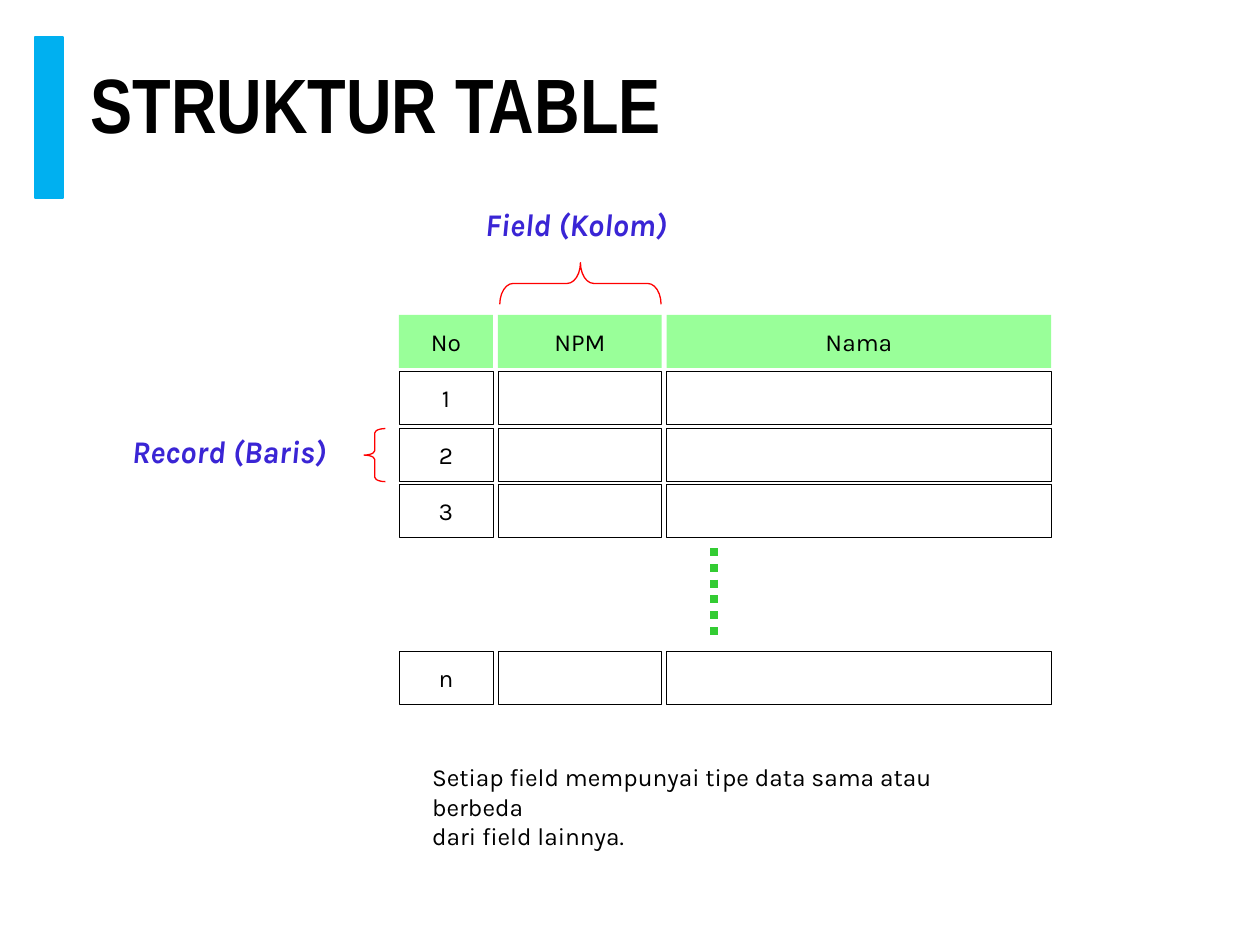
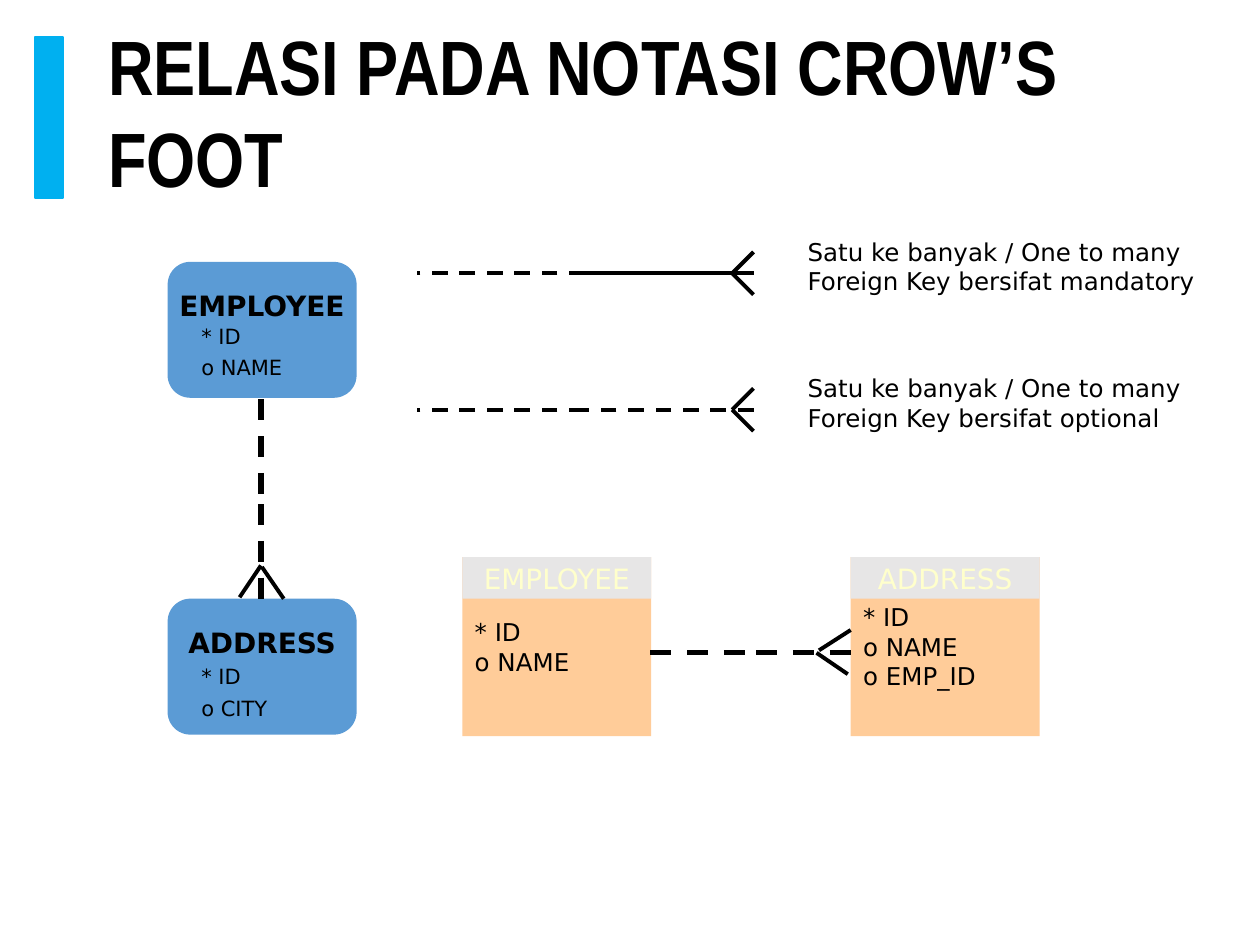
from pptx import Presentation
from pptx.util import Cm, Pt
from pptx.dml.color import RGBColor
from pptx.enum.dml import MSO_LINE as DASH
from pptx.enum.shapes import MSO_CONNECTOR, MSO_SHAPE as SHAPE
from pptx.enum.text import MSO_ANCHOR as ANCHOR, PP_ALIGN as ALIGN
from pptx.oxml import parse_xml
from pptx.oxml.ns import nsdecls

BLACK = RGBColor(0x00, 0x00, 0x00)
BAR_BLUE = RGBColor(0x00, 0xB0, 0xF0)
HEAD_GREEN = RGBColor(0x99, 0xFF, 0x99)
DOT_GREEN = RGBColor(0x33, 0xCC, 0x33)
RED = RGBColor(0xFF, 0x00, 0x00)
LABEL_BLUE = RGBColor(0x3A, 0x25, 0xD5)
ENTITY_BLUE = RGBColor(0x5B, 0x9B, 0xD5)
ORANGE = RGBColor(0xFF, 0xCC, 0x99)
GREY = RGBColor(0xE7, 0xE6, 0xE6)
PALE_YELLOW = RGBColor(0xFF, 0xFF, 0xCC)
TITLE_FONT, BODY_FONT, DIAGRAM_FONT = "Arial Narrow", "Karla", "DejaVu Sans"


def box(s, pos, lines=(), kind=None, fill=None, line=None, weight=0.25,
        font=BODY_FONT, size=14, color=BLACK, bold=False, italic=False,
        align=ALIGN.LEFT, anchor=ANCHOR.MIDDLE, spacing=None, insets=None):
    """Add a preset shape, or a text box when no kind is given."""
    pos = [Cm(v) for v in pos]
    if kind is None:
        sp = s.shapes.add_textbox(*pos)
    else:
        sp = s.shapes.add_shape(kind, *pos)
        sp.shadow.inherit = False
    if fill is None:
        sp.fill.background()
    else:
        sp.fill.solid()
        sp.fill.fore_color.rgb = fill
    if line is None:
        sp.line.fill.background()
    else:
        sp.line.color.rgb = line
        sp.line.width = Pt(weight)
    tf = sp.text_frame
    tf.word_wrap = align == ALIGN.LEFT
    tf.vertical_anchor = anchor
    if insets is not None:
        tf.margin_left, tf.margin_top, tf.margin_right, tf.margin_bottom = map(Cm, insets)
    for i, text in enumerate(lines):
        p = tf.add_paragraph() if i else tf.paragraphs[0]
        p.alignment = align
        if spacing:
            p.line_spacing = spacing
        r = p.add_run()
        r.text = text
        r.font.name, r.font.size = font, Pt(size)
        r.font.bold, r.font.italic = bold, italic
        r.font.color.rgb = color
    return sp


def connect(s, x1, y1, x2, y2, weight=2.25, dash=None, color=BLACK):
    c = s.shapes.add_connector(MSO_CONNECTOR.STRAIGHT, Cm(x1), Cm(y1), Cm(x2), Cm(y2))
    c.line.color.rgb = color
    c.line.width = Pt(weight)
    if dash:
        c.line.dash_style = dash
    c._element.spPr.append(parse_xml(f"<a:effectLst {nsdecls('a')}/>"))


prs = Presentation()
prs.slide_width, prs.slide_height = Cm(25.4), Cm(19.05)

# Blue bar and title on both slides
slides = []
for title, left, top, spacing in (("STRUKTUR TABLE", 1.83, 0.81, 0.9),
                                  ("RELASI PADA NOTASI CROW’S FOOT", 2.18, 0.86, None)):
    s = prs.slides.add_slide(prs.slide_layouts[6])
    box(s, (0.71, 0.74, 0.56, 3.25), kind=SHAPE.RECTANGLE, fill=BAR_BLUE,
        line=BAR_BLUE, weight=1)
    box(s, (left, top, 20.95, 2.74), [title], font=TITLE_FONT, size=44, bold=True,
        spacing=spacing, insets=(0, 0, 0, 0))
    slides.append(s)

# Slide 1: grid of separate cells
s = slides[0]
col_widths, gap = (1.9, 3.3, 7.75), 0.1
row_top, row_step, row_h = 6.35, 1.14, 1.07
rows = [("No", "NPM", "Nama"), ("1", "", ""), ("2", "", ""), ("3", "", ""), ("n", "", "")]
for i, row in enumerate(rows):
    y = 13.13 if row[0] == "n" else row_top + i * row_step
    x = 8.04
    for text, w in zip(row, col_widths):
        box(s, (x, y, w, row_h), [text] if text else [], SHAPE.RECTANGLE,
            fill=None if i else HEAD_GREEN, line=BLACK if i else None,
            align=ALIGN.CENTER)
        x += w + gap
connect(s, 14.4, 11.05, 14.4, 12.95, 4.5, DASH.ROUND_DOT, DOT_GREEN)

# Braces with their labels
for pos, rotation, bend in (((7.34, 8.64, 0.43, 1.07), 0, 0.208),
                            ((11.28, 4.09, 0.84, 3.25), 90, 0.32)):
    brace = box(s, pos, kind=SHAPE.LEFT_BRACE, line=RED, weight=0.75)
    brace.rotation = rotation
    brace.adjustments[0] = bend
for pos, text in (((2.41, 8.59, 4.78, 1.02), "Record (Baris)"),
                  ((9.53, 4.01, 4.55, 1.02), "Field (Kolom)")):
    box(s, pos, [text], size=18, color=LABEL_BLUE, bold=True, italic=True,
        anchor=ANCHOR.TOP)

box(s, (8.46, 15.24, 12.4, 1.45),
    ["Setiap field mempunyai tipe data sama atau berbeda", "dari field lainnya."],
    anchor=ANCHOR.TOP)

# Slide 2: legend of the two relations
s = slides[1]
for y, near_dash, rule in ((5.51, None, "mandatory"), (8.26, DASH.DASH, "optional")):
    connect(s, 15.19, y, 11.79, y, dash=near_dash)
    connect(s, 11.79, y, 8.41, y, dash=DASH.DASH)
    for spread in (-0.43, 0.43):
        connect(s, 15.19, y + spread, 14.76, y)
    box(s, (16.03, y - 0.86, 8.4, 1.45),
        ["Satu ke banyak / One to many", f"Foreign Key bersifat {rule}"],
        font=DIAGRAM_FONT, anchor=ANCHOR.TOP)

# Entities of the conceptual model
for name, y, attributes, attr_y in (("EMPLOYEE", 5.28, ["* ID", "o NAME"], 6.27),
                                    ("ADDRESS", 12.07, ["* ID", "o CITY"], 13.13)):
    box(s, (3.38, y, 3.81, 2.74), [name], SHAPE.ROUNDED_RECTANGLE, ENTITY_BLUE,
        font=DIAGRAM_FONT, size=16, bold=True, align=ALIGN.CENTER,
        anchor=ANCHOR.TOP, insets=(0.25, 0.4, 0.25, 0.13))
    box(s, (3.81, attr_y, 2.2, 1.52), attributes, font=DIAGRAM_FONT, size=12,
        anchor=ANCHOR.TOP, spacing=1.25)

# Tables of the physical model
for name, x, columns in (("EMPLOYEE", 9.32, ["* ID", "o NAME"]),
                         ("ADDRESS", 17.15, ["* ID", "o NAME", "o EMP_ID"])):
    box(s, (x, 11.23, 3.81, 3.61), columns, SHAPE.RECTANGLE, ORANGE, font=DIAGRAM_FONT)
    box(s, (x, 11.23, 3.81, 0.84), [name], SHAPE.RECTANGLE, GREY, font=DIAGRAM_FONT,
        size=16, color=PALE_YELLOW, align=ALIGN.CENTER)

# Dashed relations, then their crow's feet
for ends in ((5.26, 8.05, 5.26, 9.96), (5.26, 10.16, 5.26, 12.07),
             (13.11, 13.16, 15.01, 13.16), (15.24, 13.16, 17.15, 13.16)):
    connect(s, *ends, weight=3, dash=DASH.DASH)
for ends in ((4.83, 12.04, 5.26, 11.4), (5.72, 12.07, 5.28, 11.43),
             (17.09, 13.59, 16.46, 13.16), (17.15, 12.7, 16.51, 13.11)):
    connect(s, *ends)

prs.save("out.pptx")
